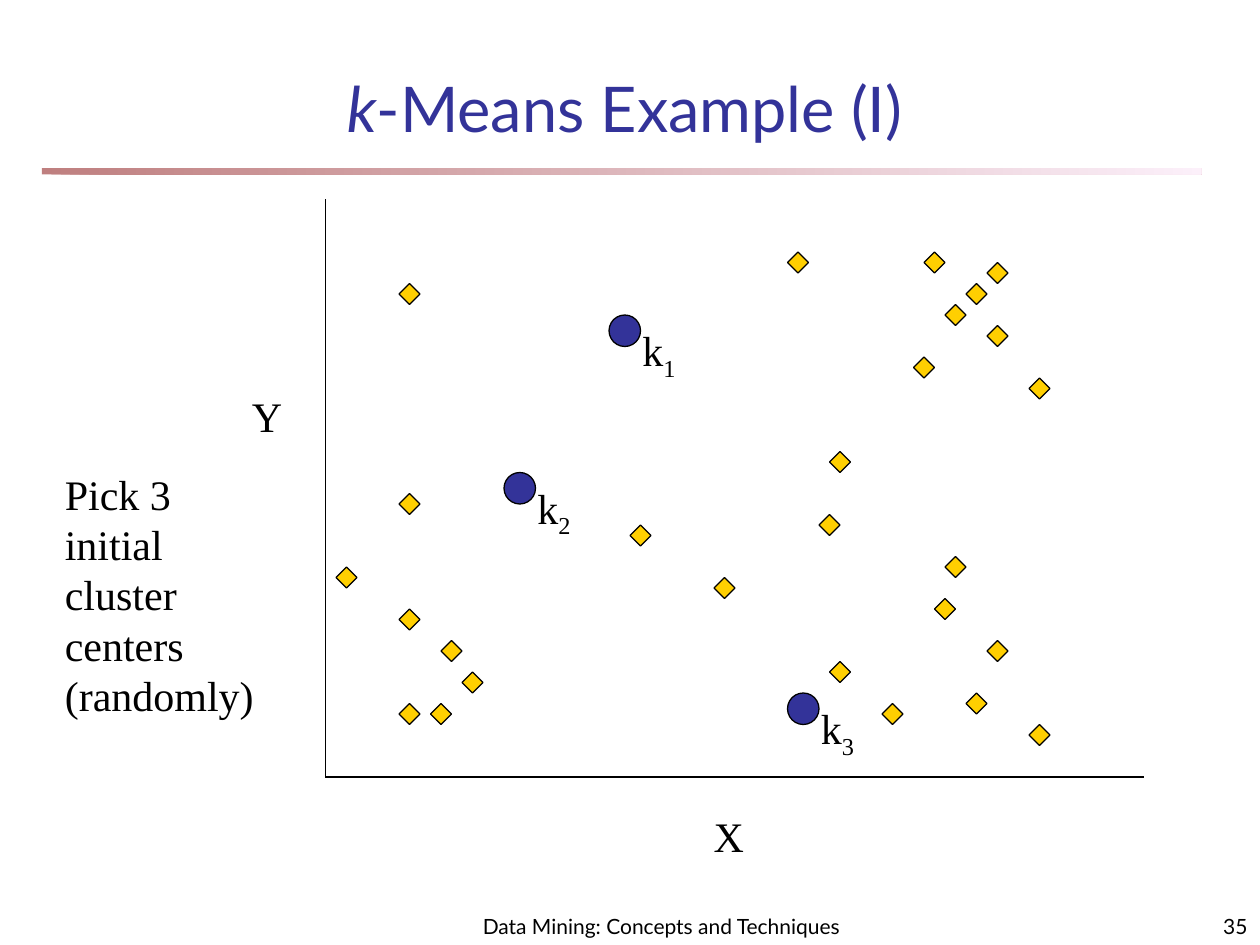
from typing import NamedTuple

import lxml.etree
import pptx
import pptx.dml.color
import pptx.enum.shapes
import pptx.enum.text
import pptx.oxml.ns
import pptx.util

SHAPE = pptx.enum.shapes.MSO_SHAPE
ALIGN = pptx.enum.text.PP_ALIGN
ANCHOR = pptx.enum.text.MSO_ANCHOR
CELLS_PER_INCH = 12
INK, INDIGO, GOLD = "000000", "333399", "FFCF01"
SANS, SERIF = "Lato", "Times New Roman"


class Box(NamedTuple):
    """Left, top, width and height in grid cells."""
    col: float
    row: float
    cols: float
    rows: float


class Piece(NamedTuple):
    text: str
    italic: bool = False
    subscript: bool = False


class Style(NamedTuple):
    font: str
    size: float
    color: str = INK
    align: ALIGN = ALIGN.LEFT
    anchor: ANCHOR = ANCHOR.TOP
    leading: float | None = None
    wrap: bool = True


class Center(NamedTuple):
    label: str
    col: float
    row: float


LABEL = Style(SERIF, 24, leading=28.8, wrap=False)
TITLE = Style(SANS, 36, INDIGO, ALIGN.CENTER, ANCHOR.MIDDLE)
FOOTER = Style(SANS, 12, align=ALIGN.CENTER, anchor=ANCHOR.BOTTOM)
PAGE_NUMBER = FOOTER._replace(align=ALIGN.RIGHT)

# Column and row of the upper left corner of each data point
POINTS = [
    (42, 61), (44, 64), (41, 67), (38, 58), (38, 27), (38, 47), (38, 67),
    (32, 54), (60, 50), (88, 24), (94, 25), (92, 27), (90, 29), (94, 31),
    (98, 36), (75, 24), (79, 43), (79, 63), (84, 67), (89, 57), (78, 49),
    (68, 55), (94, 61), (92, 66), (90, 53), (98, 69), (87, 34),
]
CENTERS = [Center("1", 58, 30), Center("2", 48, 45), Center("3", 75, 66)]
POINT_SIZE, CENTER_SIZE = 2, 3
AXIS_LEFT, AXIS_TOP, AXIS_RIGHT, AXIS_BOTTOM = 31, 19, 109, 74


def cells(count: float) -> pptx.util.Emu:
    return pptx.util.Inches(count / CELLS_PER_INCH)


def rgb(color: str) -> pptx.dml.color.RGBColor:
    return pptx.dml.color.RGBColor.from_string(color)


def add_marker(shapes, kind: SHAPE, col: float, row: float, size: float, color: str) -> None:
    marker = shapes.add_shape(kind, *map(cells, Box(col, row, size, size)))
    marker.shadow.inherit = False
    marker.fill.solid()
    marker.fill.fore_color.rgb = rgb(color)
    marker.line.color.rgb = rgb(INK)
    marker.line.width = pptx.util.Pt(0.75)


def add_text(shapes, box: Box, style: Style, *lines: list[Piece]) -> None:
    frame = shapes.add_textbox(*map(cells, box)).text_frame
    frame.word_wrap = style.wrap
    frame.vertical_anchor = style.anchor
    for index, pieces in enumerate(lines):
        paragraph = frame.add_paragraph() if index else frame.paragraphs[0]
        paragraph.alignment = style.align
        if style.leading:
            paragraph.line_spacing = pptx.util.Pt(style.leading)
        for piece in pieces:
            run = paragraph.add_run()
            run.text = piece.text
            run.font.name = style.font
            run.font.size = pptx.util.Pt(style.size)
            run.font.color.rgb = rgb(style.color)
            run.font.italic = piece.italic
            if piece.subscript:
                run._r.get_or_add_rPr().set("baseline", "-25000")


def add_axis(shapes, start: tuple[float, float], end: tuple[float, float]) -> None:
    axis = shapes.add_connector(
        pptx.enum.shapes.MSO_CONNECTOR.STRAIGHT, *map(cells, start + end))
    axis.line.color.rgb = rgb(INK)
    axis.line.width = pptx.util.Pt(0.75)
    lxml.etree.SubElement(axis._element.spPr, pptx.oxml.ns.qn("a:effectLst"))


def add_title_rule(shapes) -> None:
    """Half-transparent bar under the title, fading from left to right."""
    rule = shapes.add_shape(SHAPE.RECTANGLE, *map(cells, Box(4, 16, 110.4, 0.6)))
    rule.shadow.inherit = False
    rule.line.fill.background()
    rule.fill.gradient()
    rule.fill.gradient_angle = 0
    for stop, color in zip(rule.fill.gradient_stops, ("800000", "FAE2F6")):
        stop.color.rgb = rgb(color)
    qn = pptx.oxml.ns.qn
    for color in list(rule._element.spPr.iter(qn("a:srgbClr"))):
        lxml.etree.SubElement(color, qn("a:alpha"), val="50000")


def add_center(shapes, center: Center) -> None:
    group = shapes.add_group_shape().shapes
    add_marker(group, SHAPE.OVAL, center.col, center.row, CENTER_SIZE, INDIGO)
    add_text(group, Box(center.col + 2, center.row + 1, 7, 6.7),
             LABEL._replace(wrap=True),
             [Piece("k"), Piece(center.label, subscript=True)])


def main() -> None:
    deck = pptx.Presentation()
    deck.slide_width, deck.slide_height = cells(120), cells(90)
    shapes = deck.slides.add_slide(deck.slide_layouts[6]).shapes

    add_title_rule(shapes)
    add_text(shapes, Box(44, 85, 38, 5), FOOTER,
             [Piece("Data Mining: Concepts and Techniques")])
    add_text(shapes, Box(95, 85, 25, 5), PAGE_NUMBER, [Piece("35")])
    add_text(shapes, Box(9, 5, 101, 10.5), TITLE,
             [Piece("k", italic=True), Piece("-Means Example (I)")])

    for col, row in POINTS:
        add_marker(shapes, SHAPE.DIAMOND, col, row, POINT_SIZE, GOLD)
    for center in CENTERS:
        add_center(shapes, center)

    origin = (AXIS_LEFT, AXIS_BOTTOM)
    add_axis(shapes, (AXIS_LEFT, AXIS_TOP), origin)
    add_axis(shapes, origin, (AXIS_RIGHT, AXIS_BOTTOM))
    add_text(shapes, Box(66.8, 76.6, 5.3, 6), LABEL, [Piece("X")])
    add_text(shapes, Box(22.8, 36.6, 5.3, 6), LABEL, [Piece("Y")])
    note = ("Pick 3", "initial", "cluster", "centers", "(randomly)")
    add_text(shapes, Box(5, 44, 20.4, 30), LABEL, *([Piece(line)] for line in note))

    deck.save("out.pptx")


if __name__ == "__main__":
    main()
